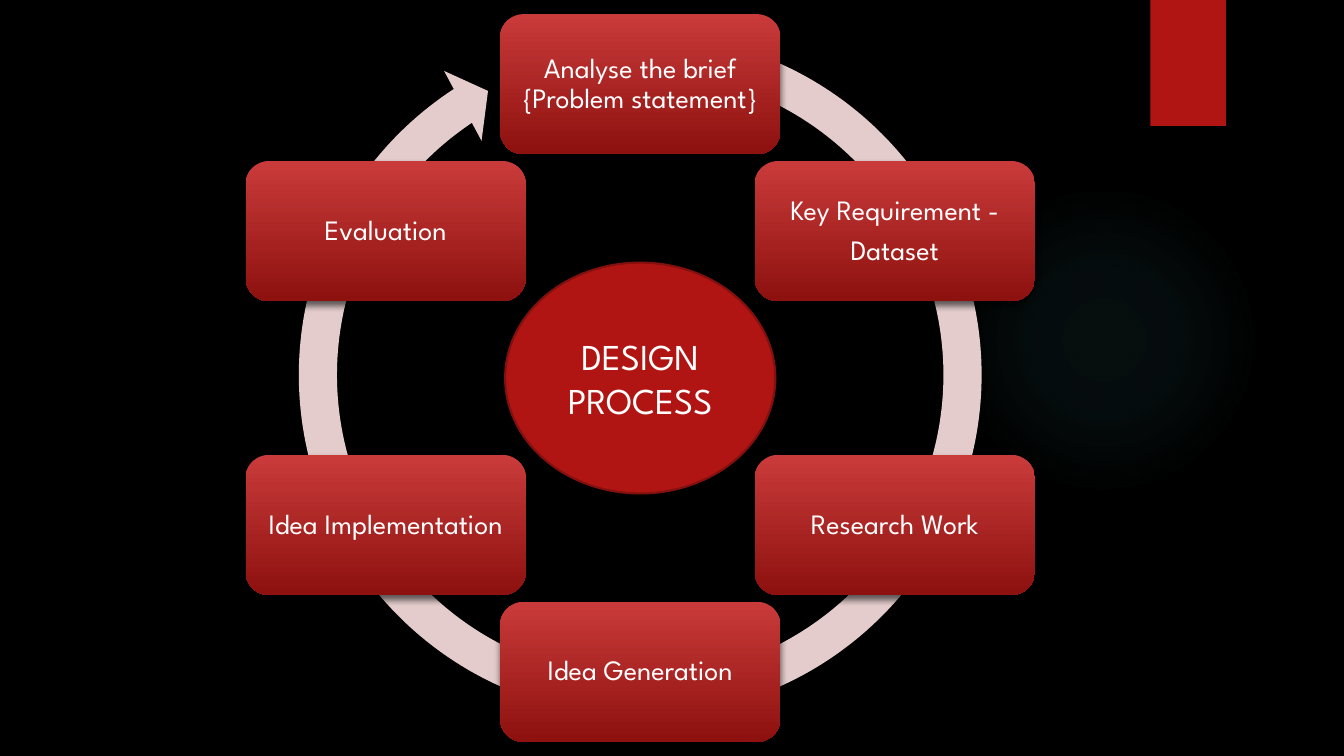
import math
import pptx
import pptx.util
import pptx.dml.color
import pptx.enum.shapes
import pptx.enum.text
import pptx.oxml
import pptx.oxml.ns

RGB = pptx.dml.color.RGBColor
KIND = pptx.enum.shapes.MSO_SHAPE
ALIGN = pptx.enum.text.PP_ALIGN
ANCHOR = pptx.enum.text.MSO_ANCHOR
Inches, Pt = pptx.util.Inches, pptx.util.Pt

BLACK = RGB(0x00, 0x00, 0x00)
WHITE = RGB(0xFF, 0xFF, 0xFF)
RED = RGB(0xB0, 0x15, 0x13)
LIGHT = RGB(0xC9, 0x3B, 0x3A)
DARK = RGB(0x8D, 0x11, 0x0F)
EDGE = RGB(0x82, 0x10, 0x0E)
PINK = RGB(0xE4, 0xCC, 0xCC)
TEAL = RGB(0x50, 0xB9, 0xC1)
FONT = "League Spartan"
NS = pptx.oxml.ns.nsdecls("a")

WIDE, HIGH = 13.33, 7.5
STEPS = [
    ["Analyse the brief {Problem statement}"],
    ["Key Requirement -", "Dataset"],
    ["Research Work"],
    ["Idea Generation"],
    ["Idea Implementation"],
    ["Evaluation"],
]


def add_shape(slide, kind, box, fill=None):
    shape = slide.shapes.add_shape(kind, *[Inches(n) for n in box])
    shape.shadow.inherit = False
    shape.line.fill.background()
    if fill is not None:
        shape.fill.solid()
        shape.fill.fore_color.rgb = fill
    return shape


def add_shade(shape, alpha, blur, dist):
    effects = shape._element.spPr.find(pptx.oxml.ns.qn("a:effectLst"))
    effects.append(pptx.oxml.parse_xml(
        f'<a:outerShdw {NS} blurRad="{Pt(blur)}" dist="{Pt(dist)}" '
        f'dir="5400000" rotWithShape="0"><a:srgbClr val="{BLACK}">'
        f'<a:alpha val="{alpha * 1000}"/></a:srgbClr></a:outerShdw>'))


def write(shape, lines, size=20, color=WHITE, inset=0.08, lead=None, after=0):
    frame = shape.text_frame
    frame.word_wrap = True
    frame.vertical_anchor = ANCHOR.MIDDLE
    frame.margin_left = frame.margin_right = Inches(inset)
    frame.margin_top = frame.margin_bottom = Inches(inset)
    for i, line in enumerate(lines):
        para = frame.paragraphs[0] if i == 0 else frame.add_paragraph()
        para.alignment = ALIGN.CENTER
        para.line_spacing = lead
        para.space_after = Pt(after)
        run = para.add_run()
        run.text = line
        run.font.name = FONT
        run.font.size = Pt(size)
        run.font.color.rgb = color


def add_glow(slide, box):
    glow = add_shape(slide, KIND.OVAL, box, TEAL)
    stops = "".join(
        f'<a:gs pos="{pos}000"><a:srgbClr val="{TEAL}">'
        f'<a:alpha val="{alpha}000"/></a:srgbClr></a:gs>'
        for pos, alpha in [(0, 7), (36, 6), (69, 0)])
    grad = pptx.oxml.parse_xml(
        f'<a:gradFill {NS}><a:gsLst>{stops}</a:gsLst><a:path path="circle">'
        '<a:fillToRect l="50000" t="50000" r="50000" b="50000"/>'
        '</a:path></a:gradFill>')
    props = glow._element.spPr
    props.replace(props.find(pptx.oxml.ns.qn("a:solidFill")), grad)


def add_back(slide):
    slide.background.fill.solid()
    slide.background.fill.fore_color.rgb = BLACK
    add_glow(slide, (9.41, 1.83, 3.08, 3.08))
    add_shade(add_shape(slide, KIND.RECTANGLE, (11.41, 0, 0.75, 1.25), RED),
              45, 3, 2)


def add_step(slide, box, lines):
    card = add_shape(slide, KIND.ROUNDED_RECTANGLE, box)
    card.fill.gradient()
    card.fill.gradient_angle = 270
    for stop, color, pos in zip(card.fill.gradient_stops, (LIGHT, DARK), (0, 1)):
        stop.color.rgb = color
        stop.position = pos
    add_shade(card, 60, 5, 3)
    write(card, lines, lead=0.9, after=7)


def add_cycle(slide, box):
    left, top, size, _ = box
    mid_x, mid_y = left + size / 2, HIGH / 2

    # Ring with its arrowhead
    ring = add_shape(slide, KIND.CIRCULAR_ARROW, box, PINK)
    for i, value in enumerate((0.05274, 3.126, 141.967, 171.454, 0.05477)):
        ring.adjustments[i] = value
    add_shade(ring, 45, 3, 2)

    # Steps, clockwise from the top
    wide, high, radius = 2.78, 1.39, 2.915
    for i, lines in enumerate(STEPS):
        turn = 2 * math.pi * i / len(STEPS)
        x = mid_x + radius * math.sin(turn) - wide / 2
        y = mid_y - radius * math.cos(turn) - high / 2
        add_step(slide, (x, y, wide, high), lines)

    # Hub
    wide, high = 2.68, 2.29
    hub = add_shape(slide, KIND.OVAL,
                    (mid_x - wide / 2, mid_y - high / 2, wide, high), RED)
    hub.line.color.rgb = EDGE
    hub.line.width = Pt(1.5)
    write(hub, ["DESIGN PROCESS"], size=26)


def main():
    deck = pptx.Presentation()
    deck.slide_width, deck.slide_height = Inches(WIDE), Inches(HIGH)
    slide = deck.slides.add_slide(deck.slide_layouts[6])
    add_back(slide)
    add_cycle(slide, (2.76, 0.13, 7.18, 7.18))
    deck.save("out.pptx")


if __name__ == "__main__":
    main()
